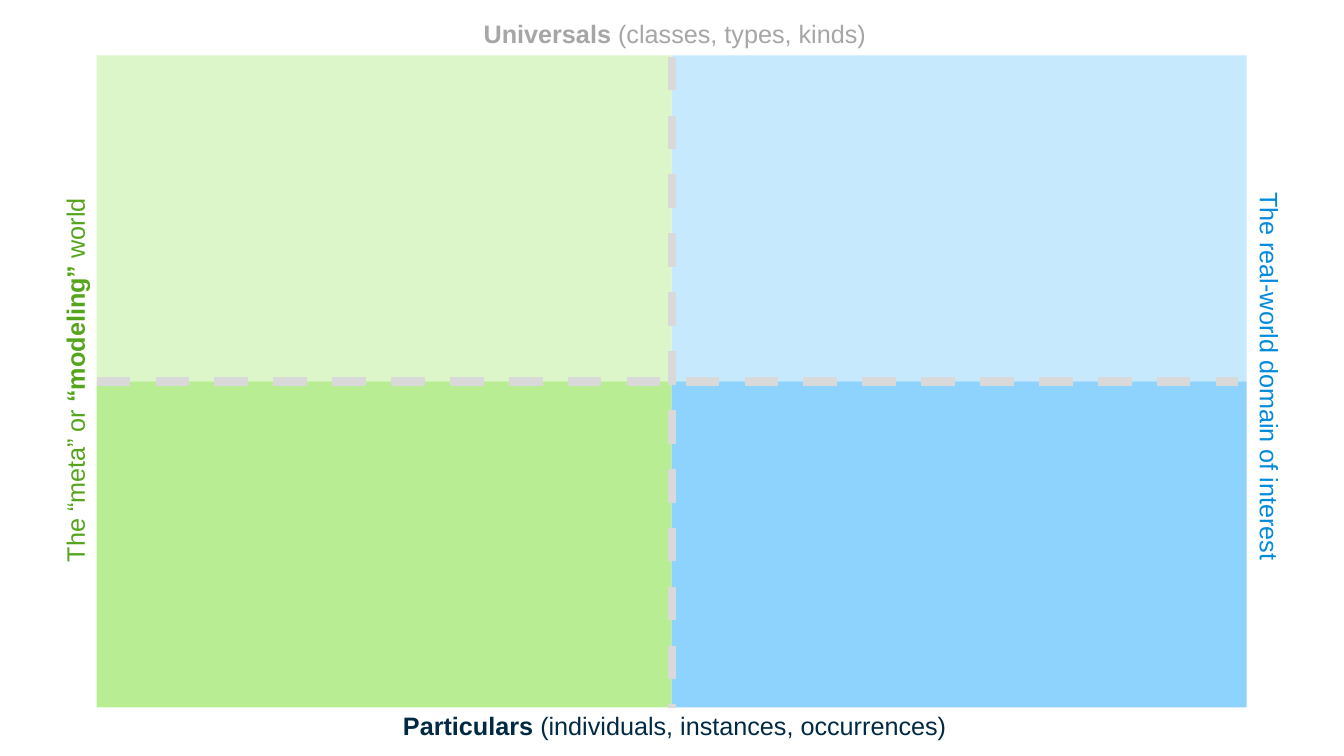
from lxml import etree
from pptx import Presentation
from pptx import util as u
from pptx.dml.color import RGBColor
from pptx.enum import dml, shapes, text
from pptx.oxml.ns import qn

Pt = u.Pt

# Colours
LIGHT_GREEN = RGBColor(0xDC, 0xF6, 0xC9)
GREEN = RGBColor(0xB8, 0xED, 0x93)
LIGHT_BLUE = RGBColor(0xC6, 0xE9, 0xFE)
BLUE = RGBColor(0x8D, 0xD3, 0xFD)
DIVIDER_GRAY = RGBColor(0xD9, 0xD9, 0xD9)
UNIVERSALS_GRAY = RGBColor(0xA6, 0xA6, 0xA6)
PARTICULARS_NAVY = RGBColor(0x00, 0x2A, 0x44)
MODELING_GREEN = RGBColor(0x55, 0xA5, 0x1C)
DOMAIN_BLUE = RGBColor(0x03, 0x8A, 0xDB)

# Quadrant grid, in points
LEFT, TOP = 69.1, 39.6
CELL_W, CELL_H = 410.75, 232.9
MID_X, MID_Y = LEFT + CELL_W, TOP + CELL_H
BOTTOM = TOP + 2 * CELL_H


class SlideBuilder:
    """Holds the text style and the current slide."""

    font, size, label_height = "Arial", 18, 29.1

    def __init__(self, slide):
        self.slide = slide

    def quadrant(self, x, y, color):
        sp = self.slide.shapes.add_shape(
            shapes.MSO_SHAPE.RECTANGLE, Pt(x), Pt(y), Pt(CELL_W), Pt(CELL_H))
        sp.shadow.inherit = False
        sp.fill.solid()
        sp.fill.fore_color.rgb = color
        sp.line.fill.background()

    def divider(self, x1, y1, x2, y2):
        cxn = self.slide.shapes.add_connector(
            shapes.MSO_CONNECTOR.STRAIGHT, Pt(x1), Pt(y1), Pt(x2), Pt(y2))
        cxn.line.color.rgb = DIVIDER_GRAY
        cxn.line.width = Pt(6)
        cxn.line.dash_style = dml.MSO_LINE.DASH
        etree.SubElement(cxn._element.spPr, qn("a:effectLst"))

    def label(self, x, y, width, color, runs, rotation=0):
        sp = self.slide.shapes.add_textbox(
            Pt(x), Pt(y), Pt(width), Pt(self.label_height))
        sp.rotation = rotation
        tf = sp.text_frame
        tf.word_wrap = False
        tf.auto_size = text.MSO_AUTO_SIZE.SHAPE_TO_FIT_TEXT
        p = tf.paragraphs[0]
        for words, bold in runs:
            r = p.add_run()
            r.text = words
            r.font.name = self.font
            r.font.size = Pt(self.size)
            r.font.bold = bold
            r.font.color.rgb = color


def main():
    prs = Presentation()
    prs.slide_width, prs.slide_height = Pt(960), Pt(540)
    s = SlideBuilder(prs.slides.add_slide(prs.slide_layouts[6]))

    # Quadrants
    grid = [[LIGHT_GREEN, LIGHT_BLUE], [GREEN, BLUE]]
    for row, colors in enumerate(grid):
        for col, color in enumerate(colors):
            s.quadrant(LEFT + col * CELL_W, TOP + row * CELL_H, color)

    # Top and bottom labels
    s.label(338.4, 9.4, 290.2, UNIVERSALS_GRAY,
            [("Universals", True), (" (classes, types, kinds)", False)])
    s.label(280.8, 504, 406.1, PARTICULARS_NAVY,
            [("Particulars", True),
             (" (individuals, instances, occurrences)", False)])

    # Dashed dividers
    s.divider(MID_X, 40.5, MID_X, BOTTOM)
    s.divider(LEFT, MID_Y, 884.2, MID_Y)

    # Side labels
    s.label(766.8, 255.6, 280.1, DOMAIN_BLUE,
            [("The real-world domain of interest", False)], rotation=90)
    s.label(-85, 255.6, 277.2, MODELING_GREEN,
            [("The “meta” or ", False), ("“modeling”", True),
             (" world", False)], rotation=270)

    prs.save("out.pptx")


if __name__ == "__main__":
    main()
